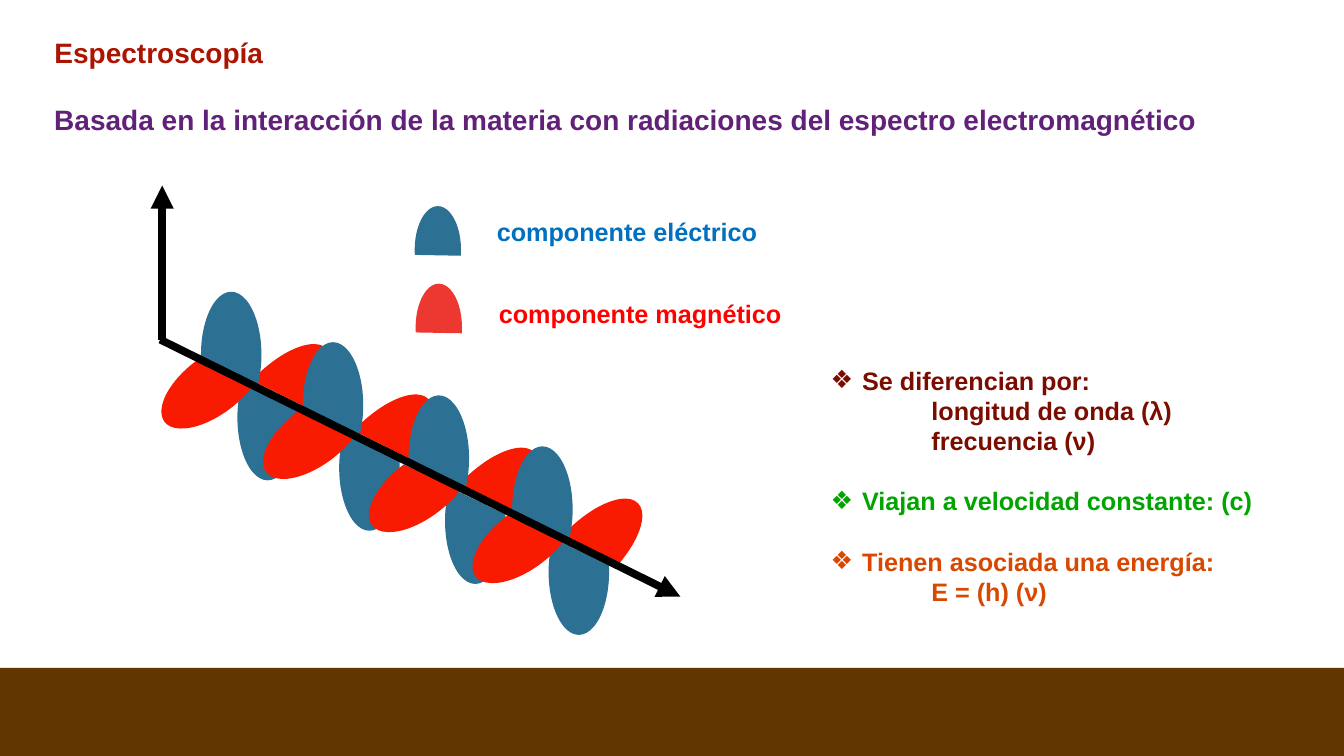
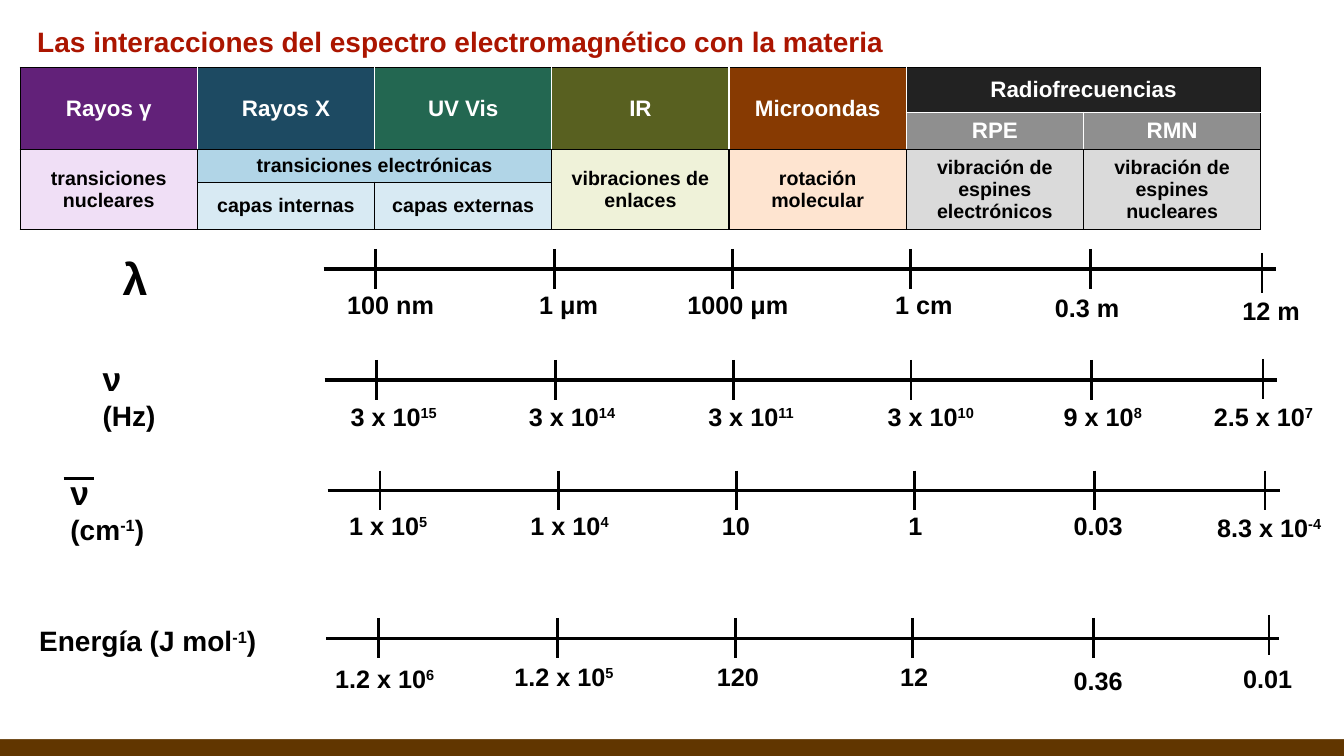
"""Two slides on spectroscopy: the electromagnetic wave and how its spectrum acts on matter."""
from lxml.etree import SubElement
from pptx import Presentation
from pptx.dml.color import RGBColor
from pptx.enum.shapes import MSO_CONNECTOR, MSO_SHAPE
from pptx.enum.text import MSO_ANCHOR, MSO_AUTO_SIZE, PP_ALIGN
from pptx.oxml.ns import qn
from pptx.util import Pt

BLACK = RGBColor(0x00, 0x00, 0x00)
WHITE = RGBColor(0xFF, 0xFF, 0xFF)
BROWN = RGBColor(0x61, 0x36, 0x00)
BRICK = RGBColor(0xAB, 0x15, 0x00)
PURPLE = RGBColor(0x62, 0x21, 0x79)
ELECTRIC = RGBColor(0x2C, 0x70, 0x93)
ELECTRIC_TEXT = RGBColor(0x00, 0x70, 0xC0)
MAGNETIC = RGBColor(0xF8, 0x1B, 0x02)
MAGNETIC_KEY = RGBColor(0xED, 0x38, 0x32)
MAGNETIC_TEXT = RGBColor(0xFF, 0x00, 0x00)
MAROON = RGBColor(0x7B, 0x0C, 0x00)
GREEN = RGBColor(0x00, 0xA5, 0x00)
ORANGE = RGBColor(0xD8, 0x48, 0x00)
NAVY = RGBColor(0x1D, 0x4A, 0x62)
TEAL = RGBColor(0x23, 0x67, 0x51)
OLIVE = RGBColor(0x58, 0x60, 0x20)
RUST = RGBColor(0x87, 0x3A, 0x02)
CHARCOAL = RGBColor(0x22, 0x22, 0x22)
GREY = RGBColor(0x8F, 0x8F, 0x8F)
LILAC = RGBColor(0xF0, 0xDF, 0xF6)
SKY = RGBColor(0xB1, 0xD5, 0xE7)
PALE_SKY = RGBColor(0xD8, 0xEA, 0xF3)
PALE_OLIVE = RGBColor(0xEF, 0xF2, 0xD9)
PEACH = RGBColor(0xFE, 0xE4, 0xD0)
SILVER = RGBColor(0xDA, 0xDA, 0xDA)

TEXT_FORMAT = {"name": "Arial", "bold": True}
FRAME_FORMAT = {
    "word_wrap": True,
    "auto_size": MSO_AUTO_SIZE.NONE,
    "vertical_anchor": MSO_ANCHOR.TOP,
}


def write(paragraph, text, size, colour, align=PP_ALIGN.LEFT):
    """Fill a paragraph; text between ^ marks is raised."""
    paragraph.alignment = align
    for index, piece in enumerate(text.split("^")):
        if piece:
            run = paragraph.add_run()
            run.text = piece
            for attribute, value in {**TEXT_FORMAT, "size": Pt(size)}.items():
                setattr(run.font, attribute, value)
            run.font.color.rgb = colour
            if index % 2:
                run.font._element.set("baseline", "30000")


def draw_line(slide, x1, y1, x2, y2, width, arrow=False):
    """Draw a straight black line, with an arrowhead at its end if asked."""
    line = slide.shapes.add_connector(
        MSO_CONNECTOR.STRAIGHT, Pt(x1), Pt(y1), Pt(x2), Pt(y2))
    line.line.color.rgb = BLACK
    line.line.width = Pt(width)
    if arrow:
        SubElement(line.line._get_or_add_ln(), qn("a:tailEnd"), type="triangle")
    SubElement(line.element.spPr, qn("a:effectLst"))


prs = Presentation()
prs.slide_width, prs.slide_height = Pt(960), Pt(540)
wave_slide = prs.slides.add_slide(prs.slide_layouts[1])
spectrum_slide = prs.slides.add_slide(prs.slide_layouts[5])

band = wave_slide.shapes.add_shape(MSO_SHAPE.RECTANGLE, 0, Pt(477), Pt(960), Pt(63))
cover = spectrum_slide.shapes.add_shape(MSO_SHAPE.RECTANGLE, 0, Pt(471), Pt(960), Pt(57))
for strip, colour in ((band, BROWN), (cover, WHITE)):
    strip.shadow.inherit = False
    strip.fill.solid()
    strip.fill.fore_color.rgb = colour
    strip.line.fill.background()
prs.slide_master.element.cSld.spTree.insert(2, band.element)

for slide, left, top, heading in (
    (wave_slide, 31.7, 21.6, "Espectroscopía"),
    (spectrum_slide, 19.4, 13.7,
     "Las interacciones del espectro electromagnético con la materia"),
):
    title = slide.shapes.title
    title.left, title.top, title.width, title.height = Pt(left), Pt(top), Pt(836), Pt(32)
    for attribute, value in FRAME_FORMAT.items():
        setattr(title.text_frame, attribute, value)
    write(title.text_frame.paragraphs[0], heading, 20, BRICK)

FULL, NARROW, WIDE, KEY = (22.39, 169.31), (24, 163.87), (69.07, 169.31), (45.49, 169.31)
wave_period = (
    (146.2, 276.5, 90, 43.2, 90, True, FULL, ELECTRIC),
    (108.7, 254.2, 86.4, 41.8, 322.7, False, NARROW, MAGNETIC),
    (149, 262.1, 98.6, 43.2, 315.3, True, WIDE, MAGNETIC),
    (120.2, 231.8, 90, 43.2, 270, True, FULL, ELECTRIC),
)
lobes = [
    (left + dx, top + dy, *rest)
    for dx, dy in ((0, 0), (72.7, 36), (148.3, 74), (222.3, 110.4))
    for left, top, *rest in wave_period
]
lobes += [
    (281.5, 162, 62.6, 33.1, 270, True, KEY, ELECTRIC),
    (282.2, 217.4, 62.6, 33.1, 270, True, KEY, MAGNETIC_KEY),
]
for left, top, width, height, turn, mirrored, angles, colour in lobes:
    lobe = wave_slide.shapes.add_shape(
        MSO_SHAPE.CHORD, Pt(left), Pt(top), Pt(width), Pt(height))
    lobe.adjustments[0], lobe.adjustments[1] = angles
    lobe.rotation = turn
    if mirrored:
        lobe.element.spPr.find(qn("a:xfrm")).set("flipH", "1")
    lobe.shadow.inherit = False
    lobe.fill.solid()
    lobe.fill.fore_color.rgb = colour
    lobe.line.fill.background()

draw_line(wave_slide, 114.5, 242.6, 486, 426.2, 5.5, arrow=True)
draw_line(wave_slide, 115.9, 242.6, 115.9, 132.5, 5.5, arrow=True)

properties = wave_slide.placeholders[1]
properties.left, properties.top = Pt(586.1), Pt(257)
properties.width, properties.height = Pt(335), Pt(182)
for attribute, value in FRAME_FORMAT.items():
    setattr(properties.text_frame, attribute, value)
for index, (text, bulleted, colour) in enumerate((
    ("Se diferencian por:", True, MAROON),
    ("longitud de onda (λ)", False, MAROON),
    ("frecuencia (ν)", False, MAROON),
    ("Viajan a velocidad constante: (c)", True, GREEN),
    ("Tienen asociada una energía:", True, ORANGE),
    ("E = (h) (ν)", False, ORANGE),
)):
    frame = properties.text_frame
    paragraph = frame.add_paragraph() if index else frame.paragraphs[0]
    write(paragraph, text, 18, colour)
    paragraph.space_before = Pt(21.5 if bulleted and index else 0)
    layout = paragraph._p.get_or_add_pPr()
    layout.set("marL", str(Pt(22.5 if bulleted else 72)))
    layout.set("indent", str(Pt(-22.5 if bulleted else 0)))
    if bulleted:
        SubElement(layout, qn("a:buFont"), typeface="Arial")
        SubElement(layout, qn("a:buChar"), char="❖")
    else:
        SubElement(layout, qn("a:buNone"))

row_heights = (32, 26.5, 23.5, 34)
spectrum = spectrum_slide.shapes.add_table(
    4, 7, Pt(14.4), Pt(48.2), Pt(886.2), Pt(sum(row_heights))).table
spectrum.first_row = spectrum.horz_banding = False
for column in spectrum.columns:
    column.width = Pt(126.6)
for row, height in zip(spectrum.rows, row_heights):
    row.height = Pt(height)

for top, left, rows, columns, text, colour in (
    (0, 0, 2, 1, "Rayos γ", PURPLE),
    (0, 1, 2, 1, "Rayos X", NAVY),
    (0, 2, 2, 1, "UV Vis", TEAL),
    (0, 3, 2, 1, "IR", OLIVE),
    (0, 4, 2, 1, "Microondas", RUST),
    (0, 5, 1, 2, "Radiofrecuencias", CHARCOAL),
    (1, 5, 1, 1, "RPE", GREY),
    (1, 6, 1, 1, "RMN", GREY),
    (2, 0, 2, 1, "transiciones nucleares", LILAC),
    (2, 1, 1, 2, "transiciones electrónicas", SKY),
    (2, 3, 2, 1, "vibraciones de enlaces", PALE_OLIVE),
    (2, 4, 2, 1, "rotación molecular", PEACH),
    (2, 5, 2, 1, "vibración de espines electrónicos", SILVER),
    (2, 6, 2, 1, "vibración de espines nucleares", SILVER),
    (3, 1, 1, 1, "capas internas", PALE_SKY),
    (3, 2, 1, 1, "capas externas", PALE_SKY),
):
    header = top < 2
    bottom, right = top + rows - 1, left + columns - 1
    origin = spectrum.cell(top, left)
    if rows * columns > 1:
        origin.merge(spectrum.cell(bottom, right))
    origin.vertical_anchor = MSO_ANCHOR.MIDDLE
    write(origin.text_frame.paragraphs[0], text, 16 if header else 14,
          WHITE if header else BLACK, PP_ALIGN.CENTER)
    white_sides = {
        "a:lnL": header and left > 0,
        "a:lnR": header and right < 6,
        "a:lnT": top == 1,
        "a:lnB": bottom == 0,
    }
    for row in range(top, bottom + 1):
        for column in range(left, right + 1):
            cell = spectrum.cell(row, column)
            cell.fill.solid()
            cell.fill.fore_color.rgb = colour
            borders = cell._tc.get_or_add_tcPr()
            for position, (side, white) in enumerate(white_sides.items()):
                border = SubElement(borders, qn(side), w=str(Pt(1)))
                ink = SubElement(border, qn("a:solidFill"))
                SubElement(ink, qn("a:srgbClr"), val=str(WHITE if white else BLACK))
                borders.insert(position, border)

captions = [
    (wave_slide, 31.7, 69.5, 870, PP_ALIGN.LEFT,
     [("Basada en la interacción de la materia con radiaciones del espectro electromagnético",
       20, PURPLE)]),
    (wave_slide, 347.8, 151.2, 230, PP_ALIGN.LEFT,
     [("componente eléctrico", 18, ELECTRIC_TEXT)]),
    (wave_slide, 349.2, 209.5, 230, PP_ALIGN.LEFT,
     [("componente magnético", 18, MAGNETIC_TEXT)]),
    (spectrum_slide, 80.6, 175.7, 60, PP_ALIGN.LEFT, [("λ", 32, BLACK)]),
    (spectrum_slide, 66.2, 252, 90, PP_ALIGN.LEFT, [("ν", 24, BLACK), ("(Hz)", 20, BLACK)]),
    (spectrum_slide, 43.2, 333.4, 110, PP_ALIGN.LEFT,
     [("ν", 24, BLACK), ("(cm^-1^)", 20, BLACK)]),
    (spectrum_slide, 20.9, 442.1, 190, PP_ALIGN.LEFT, [("Energía (J mol^-1^)", 20, BLACK)]),
]

LABEL_WIDTH = 110
for axis_left, axis_top, last_tick, labels in (
    (231.1, 192.2, (901.4, 180.7), (
        ("100 nm", 279, 203), ("1 μm", 406.1, 203), ("1000 μm", 527, 203),
        ("1 cm", 659.9, 203), ("0.3 m", 776.5, 205.2), ("12 m", 907.9, 207.4))),
    (231.8, 271.4, (902.2, 256.3), (
        ("3 x 10^15", 281.2, 283), ("3 x 10^14", 408.6, 283), ("3 x 10^11", 536.4, 283),
        ("3 x 10^10", 664.9, 283), ("9 x 10^8", 787.7, 283), ("2.5 x 10^7", 902.5, 283))),
    (234, 350.6, (903.6, 336.2), (
        ("1 x 10^5", 277.2, 360.7), ("1 x 10^4", 406.8, 360.7), ("10", 525.6, 361.2),
        ("1", 653.8, 360.7), ("0.03", 784.4, 360.7), ("8.3 x 10^-4", 906.5, 362.2))),
    (233, 455.8, (906.5, 439.2), (
        ("1.2 x 10^6", 274.7, 470.2), ("1.2 x 10^5", 402.8, 468.7), ("120", 527, 468.7),
        ("12", 653, 468.7), ("0.36", 784.4, 471.6), ("0.01", 905.4, 470.2))),
):
    draw_line(spectrum_slide, axis_left, axis_top, axis_left + 680.4, axis_top, 2.25)
    ticks = [(axis_left + dx, axis_top - 14.4) for dx in (37.4, 165, 292.3, 419, 548)]
    for tick_left, tick_top in ticks + [last_tick]:
        draw_line(spectrum_slide, tick_left, tick_top, tick_left, tick_top + 28.4, 2)
    for text, centre, top in labels:
        captions.append((spectrum_slide, centre - LABEL_WIDTH / 2, top, LABEL_WIDTH,
                         PP_ALIGN.CENTER, [(text, 18, BLACK)]))

draw_line(spectrum_slide, 45.4, 342, 67, 342, 2)

for slide, left, top, width, align, lines in captions:
    height = 7.2 + 1.2 * sum(size for text, size, colour in lines)
    frame = slide.shapes.add_textbox(Pt(left), Pt(top), Pt(width), Pt(height)).text_frame
    for attribute, value in FRAME_FORMAT.items():
        setattr(frame, attribute, value)
    for index, (text, size, colour) in enumerate(lines):
        paragraph = frame.add_paragraph() if index else frame.paragraphs[0]
        write(paragraph, text, size, colour, align)

prs.save("out.pptx")
